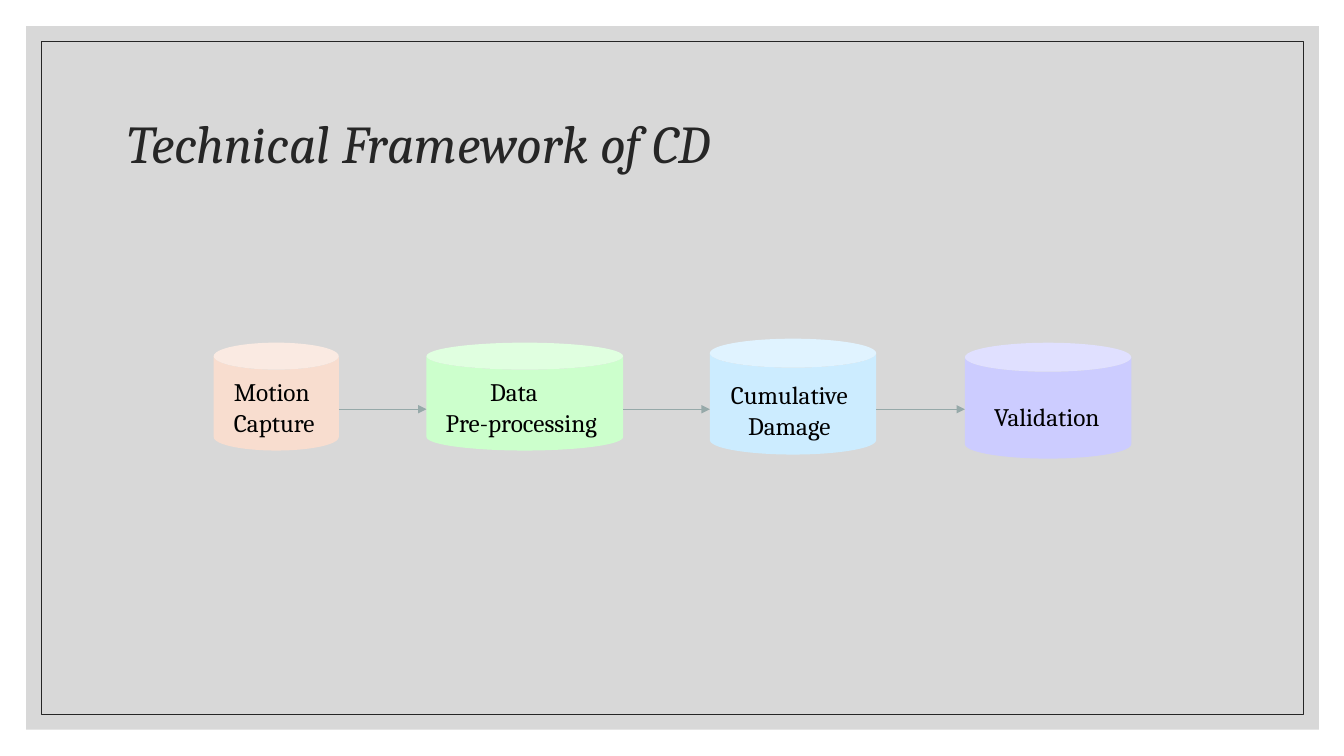
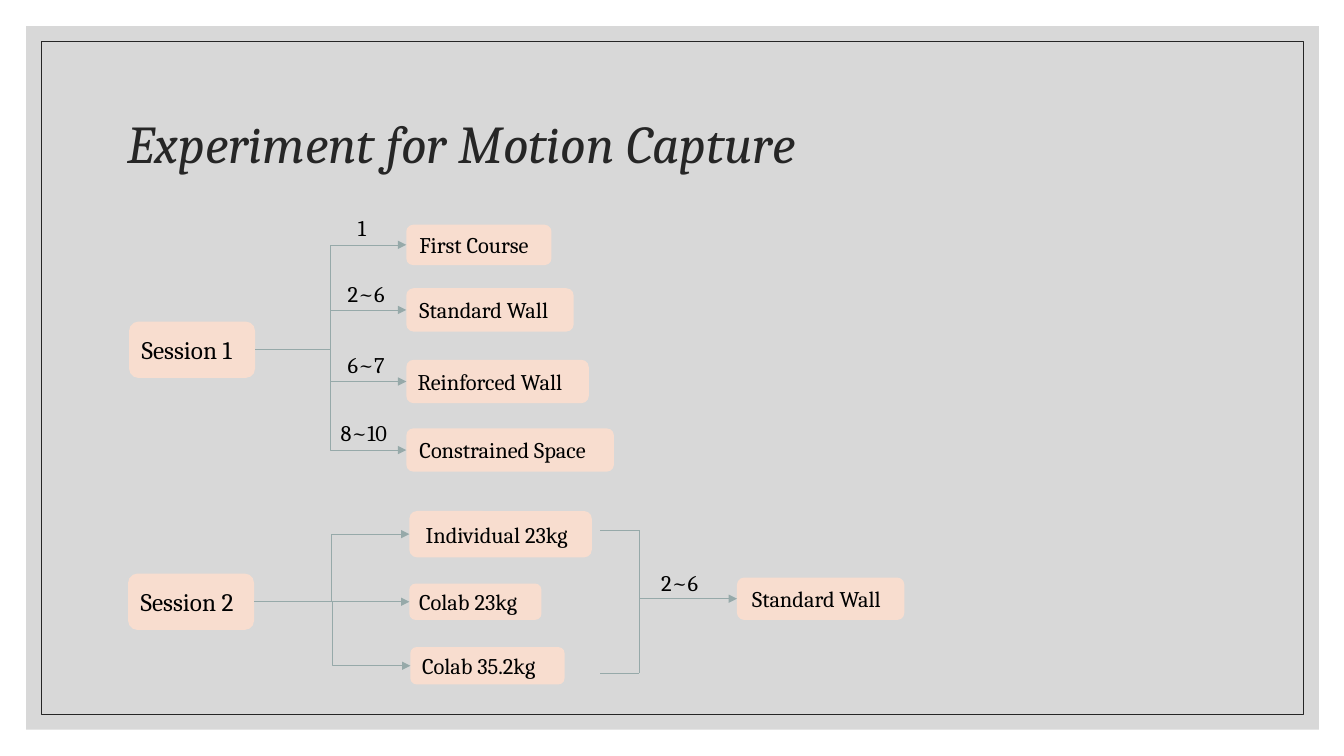
from lxml import etree
from pptx import Presentation
from pptx.dml.color import RGBColor
from pptx.enum.shapes import MSO_CONNECTOR as Wire, MSO_SHAPE as Form
from pptx.enum.text import MSO_ANCHOR as Anchor, PP_ALIGN as Align
from pptx.oxml.ns import qn
from pptx.util import Pt

# Shared style: 100 px to the inch
PX = 9144
FONT = "Cambria"
INK = RGBColor(0x26, 0x26, 0x26)
BLACK = RGBColor(0, 0, 0)
GREY = RGBColor(0xBF, 0xBF, 0xBF)
WIRE = RGBColor(0x96, 0xA9, 0xA9)
PEACH = RGBColor(0xF8, 0xDD, 0xCF)
GREEN = RGBColor(0xCC, 0xFF, 0xCC)
BLUE = RGBColor(0xCC, 0xEC, 0xFF)
LILAC = RGBColor(0xCC, 0xCC, 0xFF)

# Slide 1: box, fill, text inset (left, bottom), lines with their indents
STEPS = [
    ((212, 340, 124, 107), PEACH, (20, 0), [("Motion", 0), ("Capture", 0)]),
    ((423, 340, 195, 107), GREEN, (19, 0), [("Data", 44), ("Pre-processing", 0)]),
    ((704, 336, 165, 115), BLUE, (21, 0), [("Cumulative", 0), ("Damage", 17)]),
    ((957, 340, 165, 115), LILAC, (29, 12), [("Validation", 0)]),
]
FLOW_Y = 406

# Slide 2: text, box, left inset
FIRST = ("Session 1", (128, 319, 125, 56), 10)
COURSES = [
    ("First Course", (403, 223, 144, 40), 11),
    ("Standard Wall", (403, 286, 166, 43), 11),
    ("Reinforced Wall", (403, 357, 181, 43), 9),
    ("Constrained Space", (403, 425, 206, 43), 11),
]
SECOND = ("Session 2", (127, 569, 125, 56), 10)
LOADS = [
    ("Individual 23kg", (406, 507, 181, 46), 14),
    ("Colab 23kg", (406, 579, 131, 36), 8),
    ("Colab 35.2kg", (407, 642, 153, 37), 10),
]
WALL = ("Standard Wall", (731, 573, 166, 42), 13)
LABELS = [
    ("1", (345, 208, 31, 37)),
    ("2~6", (335, 273, 60, 37)),
    ("6~7", (335, 343, 60, 37)),
    ("8~10", (328, 411, 78, 37)),
    ("2~6", (646, 560, 60, 37)),
]
SPINE, STUB, TOP, MID, LOW = 634, 595, 526, 594, 668


def emu(vals):
    return [v * PX for v in vals]


def write(shape, lines, size, pad, anchor, color=BLACK):
    """Fill a shape with (text, indent) lines; pad is left, top, right, bottom."""
    frame = shape.text_frame
    frame.word_wrap = True
    frame.vertical_anchor = anchor
    (frame.margin_left, frame.margin_top,
     frame.margin_right, frame.margin_bottom) = emu(pad)
    for i, (text, indent) in enumerate(lines):
        para = frame.add_paragraph() if i else frame.paragraphs[0]
        para.text = text
        para.alignment = Align.LEFT
        font = para.font
        font.name, font.size, font.color.rgb = FONT, Pt(size), color
        if indent:
            para._p.get_or_add_pPr().set("marL", str(indent * PX))
    return frame.paragraphs[0]


def block(slide, form, box, fill=None, edge=None):
    shape = slide.shapes.add_shape(form, *emu(box))
    shape.shadow.inherit = False
    if fill is None:
        shape.fill.background()
    else:
        shape.fill.solid()
        shape.fill.fore_color.rgb = fill
    if edge is None:
        shape.line.fill.background()
    else:
        shape.line.color.rgb, shape.line.width = edge, Pt(0.5)
    return shape


def node(slide, item, size=16):
    text, box, left = item
    shape = block(slide, Form.ROUNDED_RECTANGLE, box, PEACH)
    write(shape, [(text, 0)], size, (left, 0, 0, 0), Anchor.MIDDLE)
    return shape


def link(slide, start, end, kind=Wire.STRAIGHT, arrow=True):
    """Join two ends, each a point or a shape (right side to left side)."""
    ends = [e if isinstance(e, tuple) else (0, 0) for e in (start, end)]
    wire = slide.shapes.add_connector(kind, *emu(ends[0] + ends[1]))
    if not isinstance(start, tuple):
        wire.begin_connect(start, 3)
    if not isinstance(end, tuple):
        wire.end_connect(end, 1)
    wire.line.color.rgb, wire.line.width = WIRE, Pt(0.5)
    props = wire.element.spPr
    if arrow:
        etree.SubElement(props.find(qn("a:ln")), qn("a:tailEnd"), type="triangle")
    etree.SubElement(props, qn("a:effectLst"))


def page(deck, title):
    """Add a slide with the grey panel, thin frame and title."""
    slide = deck.slides.add_slide(deck.slide_layouts[6])
    panel = block(slide, Form.RECTANGLE, (26, 26, 1282, 698), GREY)
    tint = panel.element.spPr.find(".//" + qn("a:srgbClr"))
    etree.SubElement(tint, qn("a:alpha"), val="60000")
    block(slide, Form.RECTANGLE, (41, 41, 1252, 668), edge=INK)
    head = slide.shapes.add_textbox(*emu((117, 70, 1100, 150)))
    para = write(head, [(title, 0)], 38, (10, 5, 10, 5), Anchor.MIDDLE, INK)
    para.font.italic = True
    para.line_spacing = 0.9
    return slide


def flow(deck):
    slide = page(deck, "Technical Framework of CD")
    for box, fill, (left, base), lines in STEPS:
        can = block(slide, Form.CAN, box, fill)
        write(can, lines, 18, (left, 0, 0, base), Anchor.BOTTOM)
    for (here, *_), (then, *_) in zip(STEPS, STEPS[1:]):
        link(slide, (here[0] + here[2], FLOW_Y), (then[0], FLOW_Y))


def tree(deck):
    slide = page(deck, "Experiment for Motion Capture")
    # Sessions and their branches
    for root, leaves in ((FIRST, COURSES), (SECOND, LOADS)):
        start = node(slide, root, 18)
        for leaf in leaves:
            end = node(slide, leaf)
            level = start.top + start.height // 2 == end.top + end.height // 2
            link(slide, start, end, Wire.STRAIGHT if level else Wire.ELBOW)
    # Bracket that gathers the loads
    link(slide, (SPINE, TOP), (SPINE, LOW), arrow=False)
    for y in (TOP, LOW):
        link(slide, (SPINE, y), (STUB, y), arrow=False)
    link(slide, (SPINE, MID), node(slide, WALL))
    # Trial numbers above the arrows
    for text, box in LABELS:
        label = slide.shapes.add_textbox(*emu(box))
        write(label, [(text, 0)], 16, (10, 5, 10, 5), Anchor.TOP)


def main():
    deck = Presentation()
    deck.slide_width, deck.slide_height = emu((1333, 750))
    flow(deck)
    tree(deck)
    deck.save("out.pptx")


if __name__ == "__main__":
    main()
